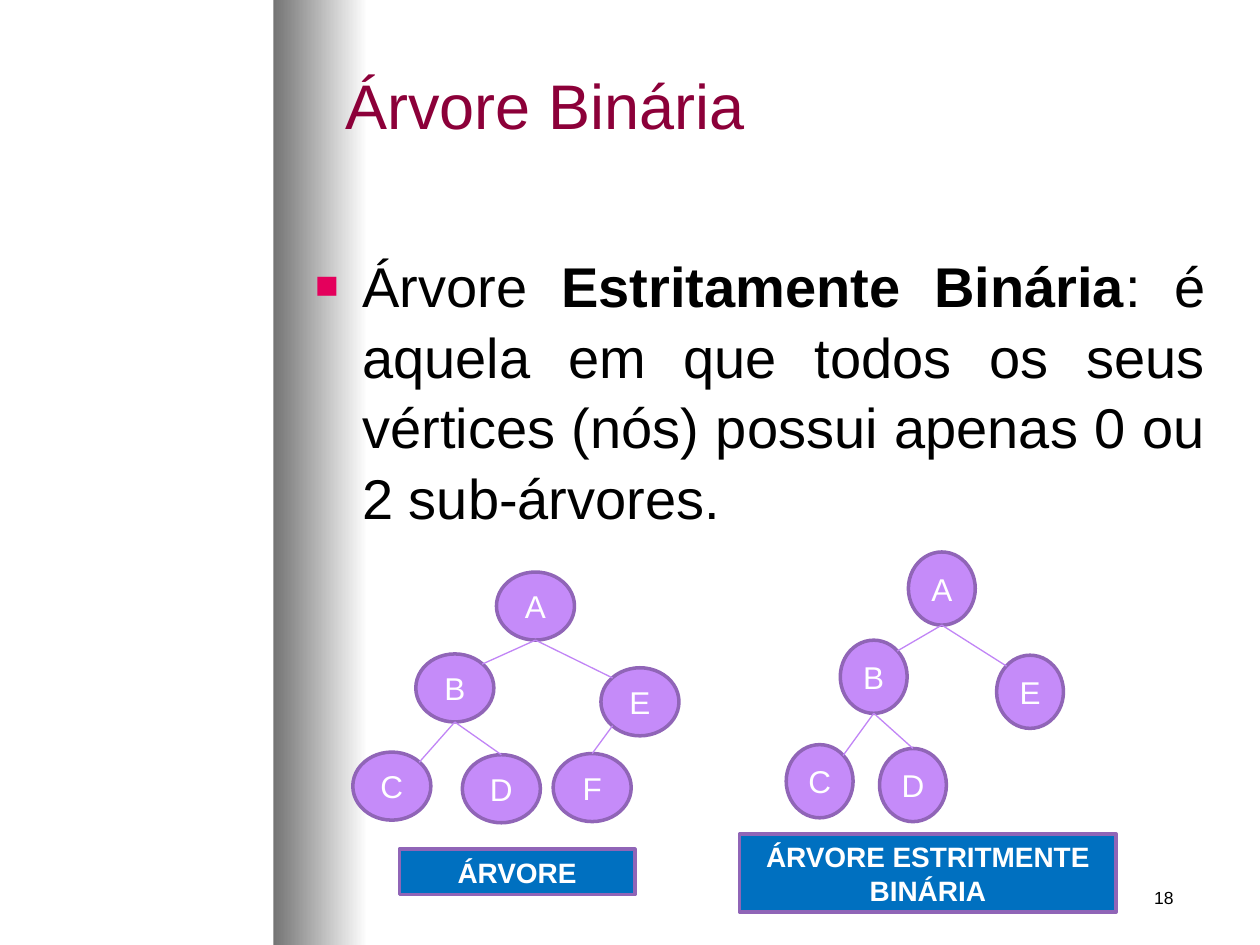
from dataclasses import dataclass

import lxml.etree
import pptx
import pptx.dml.color
import pptx.enum.shapes
import pptx.enum.text
import pptx.oxml.ns
import pptx.util

Pt = pptx.util.Pt
Align = pptx.enum.text.PP_ALIGN
Anchor = pptx.enum.text.MSO_ANCHOR
Kind = pptx.enum.shapes.MSO_SHAPE
qn = pptx.oxml.ns.qn

FONT = "Arial"
NEAR, FAR = 0.15, 0.85
SITES = {"top": (0.5, 0), "bottom": (0.5, 1), "top left": (NEAR, NEAR),
         "top right": (FAR, NEAR), "bottom left": (NEAR, FAR)}


@dataclass
class Edge:
    start: str
    leave: str
    end: str
    enter: str


@dataclass
class Label:
    text: str
    box: tuple[float, float, float, float]


@dataclass
class Tree:
    size: tuple[float, float]
    nodes: dict[str, tuple[float, float]]
    edges: list[Edge]
    label: Label


# Edges that both trees have
SHARED = [Edge("A", "bottom", "E", "top left"),
          Edge("A", "bottom", "B", "top right"),
          Edge("B", "bottom", "D", "top"),
          Edge("B", "bottom", "C", "top right")]

TREES = [
    Tree((44.6, 38.9),
         {"A": (283.7, 326.9), "B": (237.6, 373.7), "E": (343.4, 381.6),
          "D": (264.2, 431.3), "C": (201.6, 429.8), "F": (316.1, 430.6)},
         SHARED + [Edge("E", "bottom left", "F", "top")],
         Label("ÁRVORE", (228.2, 485.3, 134.6, 25.9))),
    Tree((38.2, 41.8),
         {"A": (519.1, 315.4), "B": (480.2, 365.8), "E": (569.5, 374.4),
          "D": (502.6, 427.7), "C": (449.3, 425.5)},
         SHARED,
         Label("ÁRVORE ESTRITMENTE BINÁRIA", (422.6, 476.6, 215.3, 44.6))),
]


def paint(target, color: str) -> None:
    """Colour a fill, after making it solid, or a font or gradient stop."""
    if hasattr(target, "solid"):
        target.solid()
        target = target.fore_color
    else:
        target = target.color
    target.rgb = pptx.dml.color.RGBColor.from_string(color)


def style(para, size: float, color: str, align, bold: bool = False) -> None:
    para.alignment = align
    para.font.name = FONT
    para.font.size = Pt(size)
    para.font.bold = bold
    paint(para.font, color)


def place(shape, left: float, top: float, width: float, height: float) -> None:
    shape.left, shape.top = Pt(left), Pt(top)
    shape.width, shape.height = Pt(width), Pt(height)


def add_box(shapes, kind, box: tuple, fill: str, text: str,
            size: float, bold: bool = False) -> None:
    shape = shapes.add_shape(kind, *map(Pt, box))
    shape.shadow.inherit = False
    paint(shape.fill, fill)
    paint(shape.line.fill, "9065B7")
    shape.line.width = Pt(2)
    frame = shape.text_frame
    frame.word_wrap = True
    frame.vertical_anchor = Anchor.MIDDLE
    frame.text = text
    style(frame.paragraphs[0], size, "FFFFFF", Align.CENTER, bold)


def site(tree: Tree, node: str, name: str) -> list:
    return [Pt(at + part * length) for at, part, length
            in zip(tree.nodes[node], SITES[name], tree.size)]


def add_tree(slide, tree: Tree) -> None:
    shapes = slide.shapes.add_group_shape().shapes
    for name, spot in tree.nodes.items():
        add_box(shapes, Kind.OVAL, spot + tree.size, "C58BF9", name, 18)
    for edge in tree.edges:
        line = shapes.add_connector(
            pptx.enum.shapes.MSO_CONNECTOR.STRAIGHT,
            *site(tree, edge.start, edge.leave),
            *site(tree, edge.end, edge.enter))
        paint(line.line.fill, "C185F6")
        line.line.width = Pt(0.75)
        lxml.etree.SubElement(line._element.spPr, qn("a:effectLst"))
    add_box(shapes, Kind.RECTANGLE, tree.label.box, "0070C0",
            tree.label.text, 16, True)


def add_bullet(para, indent: float) -> None:
    props = para._p.get_or_add_pPr()
    props.set("marL", str(Pt(indent)))
    props.set("indent", str(-Pt(indent)))
    tint = lxml.etree.SubElement(props, qn("a:buClr"))
    lxml.etree.SubElement(tint, qn("a:srgbClr"), val="E4005C")
    lxml.etree.SubElement(props, qn("a:buSzPct"), val="70000")
    lxml.etree.SubElement(props, qn("a:buFont"), typeface=FONT)
    lxml.etree.SubElement(props, qn("a:buChar"), char="■")


def add_band(slide) -> None:
    band = slide.shapes.add_shape(Kind.RECTANGLE, Pt(156.2), 0, Pt(54), Pt(540))
    band.shadow.inherit = False
    band.line.fill.background()
    band.fill.gradient()
    band.fill.gradient_angle = 0
    for stop, (spot, color) in zip(band.fill.gradient_stops,
                                   [(0, "747474"), (1, "FFFFFF")]):
        stop.position = spot
        paint(stop, color)
    # Send it behind the placeholders
    slide.shapes._spTree.insert(2, band._element)


def main() -> None:
    deck = pptx.Presentation()
    deck.slide_width, deck.slide_height = Pt(720), Pt(540)
    slide = deck.slides.add_slide(deck.slide_layouts[1])
    add_band(slide)

    # Title
    title = slide.shapes.title
    place(title, 190.1, 3.6, 447.1, 111.6)
    title.text_frame.text = "Árvore Binária"
    title.text_frame.vertical_anchor = Anchor.MIDDLE
    style(title.text_frame.paragraphs[0], 36, "8C0039", Align.LEFT)

    # Definition
    body = slide.placeholders[1]
    place(body, 172.8, 138.2, 523.4, 390.2)
    body.text_frame.auto_size = pptx.enum.text.MSO_AUTO_SIZE.NONE
    para = body.text_frame.paragraphs[0]
    add_bullet(para, 27)
    para.space_before = Pt(8)
    para.line_spacing = 1.05
    style(para, 32, "000000", Align.JUSTIFY)
    para.add_run().text = "Árvore "
    term = para.add_run()
    term.text = "Estritamente Binária"
    term.font.bold = True
    para.add_run().text = (": é aquela em que todos os seus vértices (nós) "
                           "possui apenas 0 ou 2 sub-árvores.")

    # Page number
    page = slide.shapes.add_textbox(Pt(527.8), Pt(491.8), Pt(149.8), Pt(36))
    page.text_frame.word_wrap = True
    page.text_frame.margin_top = Pt(15)
    page.text_frame.text = "18"
    style(page.text_frame.paragraphs[0], 10, "000000", Align.RIGHT)

    # Trees
    for tree in TREES:
        add_tree(slide, tree)

    deck.save("out.pptx")


if __name__ == "__main__":
    main()
